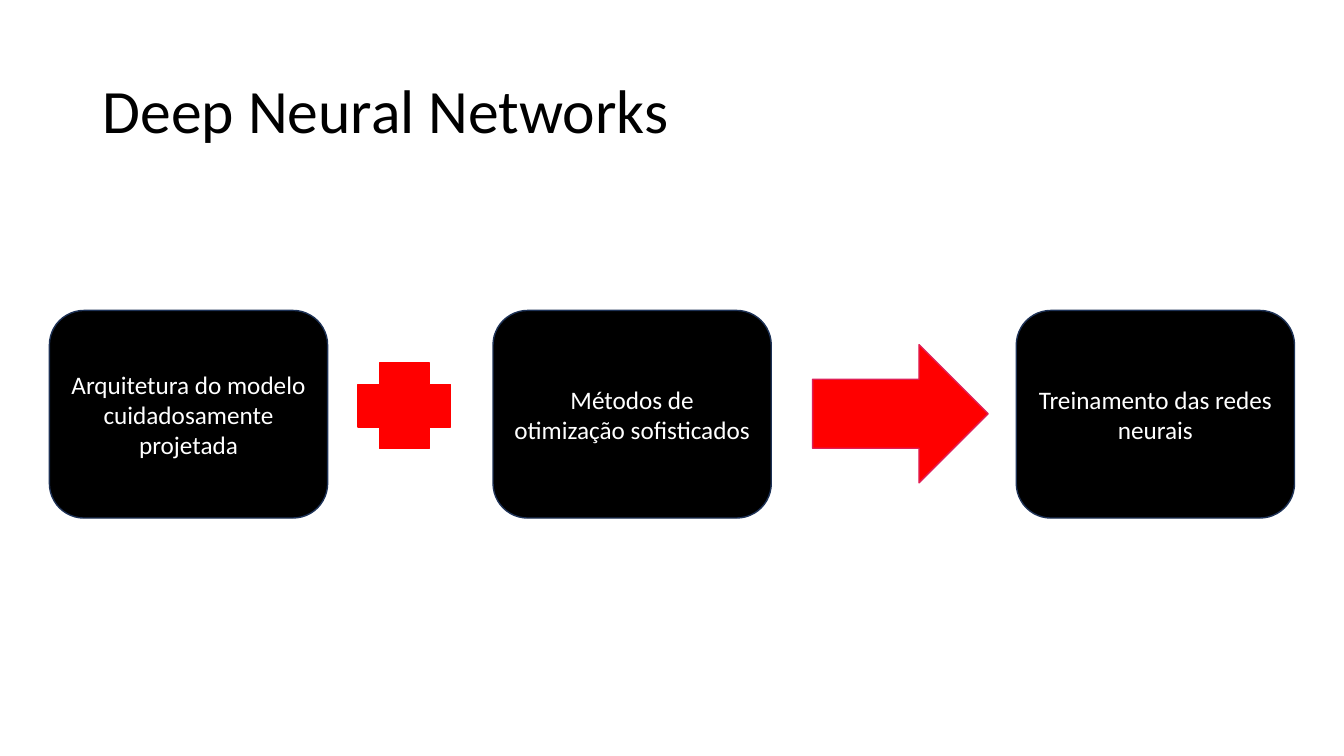
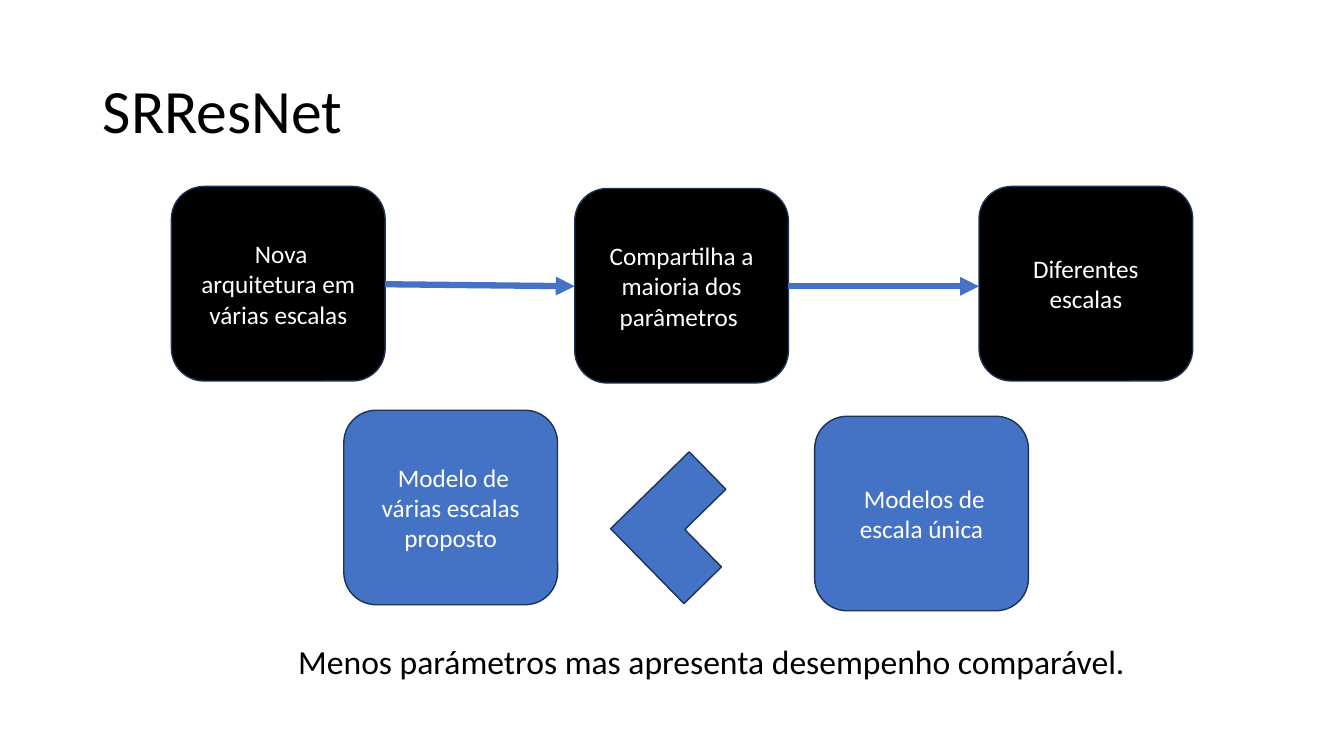
"""Builds two diagram slides on deep neural networks and SRResNet."""
from lxml import etree
from pptx import Presentation
from pptx.dml.color import RGBColor
from pptx.enum import shapes, text
from pptx.oxml.ns import qn
from pptx.util import Inches, Pt

COLORS = {"black": "000000", "white": "FFFFFF", "blue": "4472C4",
          "navy": "1E3256", "red": "FF0000", "pink": "DF1F56"}
FONT = "Calibri"
KIND = shapes.MSO_SHAPE
TITLE_BOX = (0.92, 0.4, 11.5, 1.45)

FLOW_TOP, FLOW_SIZE = 3.08, (2.76, 2.06)
FLOW = [(0.49, "Arquitetura do modelo cuidadosamente projetada"),
        (4.89, "Métodos de otimização sofisticados"),
        (10.08, "Treinamento das redes neurais")]
SIGNS = [(KIND.CROSS, (3.55, 3.6, 0.92, 0.85), "red"),
         (KIND.RIGHT_ARROW, (8.06, 3.42, 1.74, 1.37), "pink")]

CARD_SIZE = (2.12, 1.93)
STEPS = [(1.7, 1.85, " Nova arquitetura em várias escalas"),
         (5.7, 1.87, "Compartilha a maioria dos parâmetros "),
         (9.71, 1.85, "Diferentes escalas")]
MODELS = [(3.41, 4.07, " Modelo de várias escalas proposto"),
          (8.08, 4.13, " Modelos de escala única")]
ARROW_Y = [(2.82, 2.84), (2.84, 2.84)]
CONCLUSION = "Menos parámetros mas apresenta desempenho comparável."


def rgb(name):
    return RGBColor.from_string(COLORS[name])


def write(sp, content, size=18, color="white", align=text.PP_ALIGN.CENTER,
          anchor=text.MSO_ANCHOR.MIDDLE, spacing=None):
    tf = sp.text_frame
    tf.word_wrap = True
    tf.auto_size = text.MSO_AUTO_SIZE.NONE
    tf.vertical_anchor = anchor
    p = tf.paragraphs[0]
    p.alignment, p.line_spacing = align, spacing
    r = p.add_run()
    r.text = content
    r.font.name, r.font.size = FONT, Pt(size)
    r.font.color.rgb = rgb(color)


def add_slide(prs, title):
    s = prs.slides.add_slide(prs.slide_layouts[5])
    sp = s.shapes.title
    sp.left, sp.top, sp.width, sp.height = map(Inches, TITLE_BOX)
    write(sp, title, size=44, color="black", align=text.PP_ALIGN.LEFT, spacing=0.9)
    return s


def add_shape(s, kind, box, fill, line="navy", label=None):
    sp = s.shapes.add_shape(kind, *map(Inches, box))
    sp.shadow.inherit = False
    sp.fill.solid()
    sp.fill.fore_color.rgb = rgb(fill)
    sp.line.color.rgb = rgb(line)
    sp.line.width = Pt(1)
    if label:
        write(sp, label)
    return sp


def add_arrow(s, x1, y1, x2, y2):
    sp = s.shapes.add_connector(shapes.MSO_CONNECTOR.STRAIGHT,
                                *map(Inches, (x1, y1, x2, y2)))
    sp.line.color.rgb = rgb("blue")
    sp.line.width = Pt(4.5)
    sp_pr = sp._element.spPr
    etree.SubElement(sp_pr.find(qn("a:ln")), qn("a:tailEnd"), type="triangle")
    etree.SubElement(sp_pr, qn("a:effectLst"))


def build_networks(prs):
    s = add_slide(prs, "Deep Neural Networks")
    for x, label in FLOW:
        add_shape(s, KIND.ROUNDED_RECTANGLE, (x, FLOW_TOP, *FLOW_SIZE), "black", label=label)
    for kind, box, line in SIGNS:
        add_shape(s, kind, box, "red", line)


def build_srresnet(prs):
    s = add_slide(prs, "SRResNet")
    for cards, fill in ((STEPS, "black"), (MODELS, "blue")):
        for x, y, label in cards:
            add_shape(s, KIND.ROUNDED_RECTANGLE, (x, y, *CARD_SIZE), fill, label=label)
    less_than = add_shape(s, KIND.RECTANGLE, (6.29, 4.69, 1.04, 1.09), "blue")
    less_than._element.spPr.find(qn("a:prstGeom")).set("prst", "corner")
    less_than.rotation = 45.6
    sp = s.shapes.add_textbox(*map(Inches, (2.86, 6.31, 9.13, 0.5)))
    write(sp, CONCLUSION, size=24, color="black", align=text.PP_ALIGN.LEFT,
          anchor=text.MSO_ANCHOR.TOP)
    for start, end, (y1, y2) in zip(STEPS, STEPS[1:], ARROW_Y):
        add_arrow(s, start[0] + CARD_SIZE[0], y1, end[0], y2)


def main():
    prs = Presentation()
    prs.slide_width, prs.slide_height = Inches(13.33), Inches(7.5)
    build_networks(prs)
    build_srresnet(prs)
    prs.save("out.pptx")


if __name__ == "__main__":
    main()
